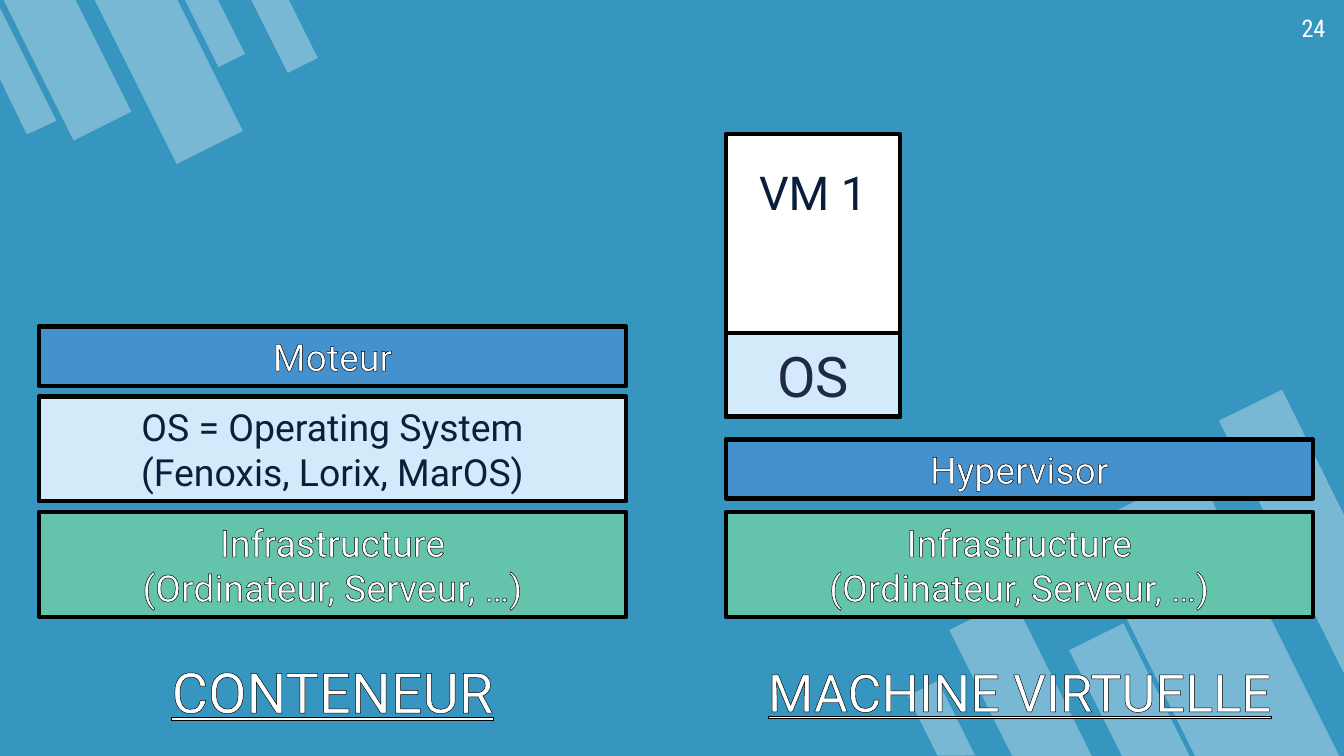
import pptx
import pptx.util
import pptx.dml.color
import pptx.enum.shapes
import pptx.enum.text
from dataclasses import dataclass
from lxml import etree
from pptx.oxml.ns import qn

Inches, Pt = pptx.util.Inches, pptx.util.Pt
SHAPE = pptx.enum.shapes.MSO_SHAPE
ALIGN = pptx.enum.text.PP_ALIGN
ANCHOR = pptx.enum.text.MSO_ANCHOR


@dataclass(frozen=True)
class Theme:
    background: str = "3796BF"
    white: str = "FFFFFF"
    black: str = "000000"
    green: str = "63C4AB"
    pale: str = "D2EAFA"
    blue: str = "4591CE"
    navy: str = "0B1F3B"
    os_ink: str = "1F2A46"
    vm_ink: str = "081E3A"
    stripe_alpha: int = 33
    font: str = "Roboto"
    number_font: str = "Roboto Condensed"
    layer_size: int = 20
    vm_size: int = 25
    os_size: int = 30
    container_size: int = 30
    machine_size: int = 28
    number_size: int = 13
    border: float = 2.25
    outline: float = 0.75


THEME = Theme()


def rgb(color):
    return pptx.dml.color.RGBColor.from_string(color)


def outline_run(run):
    """Draw a thin black contour around the letters."""
    properties = run.font._element
    contour = etree.Element(qn("a:ln"), w=str(Pt(THEME.outline)))
    fill = etree.SubElement(contour, qn("a:solidFill"))
    etree.SubElement(fill, qn("a:srgbClr"), val=THEME.black)
    properties.insert(0, contour)


def write(shape, lines, size, color, font=THEME.font, align=ALIGN.CENTER,
          outlined=False, underline=None):
    frame = shape.text_frame
    frame.word_wrap = True
    for index, line in enumerate(lines):
        paragraph = frame.add_paragraph() if index else frame.paragraphs[0]
        paragraph.alignment = align
        run = paragraph.add_run()
        run.text = line
        run.font.size = Pt(size)
        run.font.name = font
        run.font.color.rgb = rgb(color)
        run.font.underline = underline
        if outlined:
            outline_run(run)


def add_block(slide, left, top, width, height, fill, bordered=True):
    block = slide.shapes.add_shape(SHAPE.RECTANGLE, Inches(left), Inches(top),
                                   Inches(width), Inches(height))
    block.shadow.inherit = False
    block.fill.solid()
    block.fill.fore_color.rgb = rgb(fill)
    if bordered:
        block.line.color.rgb = rgb(THEME.black)
        block.line.width = Pt(THEME.border)
    else:
        block.line.fill.background()
    block.text_frame.vertical_anchor = ANCHOR.MIDDLE
    return block


def add_text(slide, left, top, width, height):
    return slide.shapes.add_textbox(Inches(left), Inches(top), Inches(width), Inches(height))


def add_stripes(slide, left, top, angle, bars, edge):
    """Translucent slanted bars, plus one bar cut by the slide edge."""
    stripes = []
    for x, y, width, height in bars:
        bar = slide.shapes.add_shape(SHAPE.FLOWCHART_MANUAL_INPUT, Inches(left + x),
                                     Inches(top + y), Inches(width), Inches(height))
        bar.rotation = angle
        bar._element.spPr.xfrm.set("flipH", "1")
        stripes.append(bar)
    points = [(Inches(left + x), Inches(top + y)) for x, y in edge]
    builder = slide.shapes.build_freeform(*points[0])
    builder.add_line_segments(points[1:], close=True)
    stripes.append(builder.convert_to_shape())
    for stripe in stripes:
        stripe.shadow.inherit = False
        stripe.line.fill.background()
        stripe.fill.solid()
        stripe.fill.fore_color.rgb = rgb(THEME.white)
        color = stripe._element.spPr.find(qn("a:solidFill"))[0]
        etree.SubElement(color, qn("a:alpha"), val=str(THEME.stripe_alpha * 1000))


def add_stack(slide, left, bottom, width, gap, layers):
    """Pile layers upwards from the bottom; return the top of the pile."""
    top = bottom + gap
    for lines, fill, ink, outlined in layers:
        height = 0.78 if len(lines) > 1 else 0.44
        top -= gap + height
        block = add_block(slide, left, top, width, height, fill)
        write(block, lines, THEME.layer_size, ink, outlined=outlined)
    return top


def add_machine(slide, left, top, width, height):
    """A virtual machine: its name above, its own system at the foot."""
    add_block(slide, left, top, width, height, THEME.white)
    system_height, margin = 0.62, 0.11
    system = add_block(slide, left, top + height - system_height, width,
                       system_height, THEME.pale)
    write(system, ["OS"], THEME.os_size, THEME.os_ink)
    name = add_block(slide, left + margin, top + 0.17, width - 2 * margin, 0.52,
                     THEME.white, bordered=False)
    write(name, ["VM 1"], THEME.vm_size, THEME.vm_ink)


def add_caption(slide, left, top, width, height, caption, size):
    write(add_text(slide, left, top, width, height), [caption], size, THEME.white,
          outlined=True, underline=True)


def add_number(slide, left, top, width, height):
    number = add_text(slide, left, top, width, height)
    frame = number.text_frame
    frame.margin_top = frame.margin_bottom = Inches(0.1)
    write(number, ["24"], THEME.number_size, THEME.white, THEME.number_font, ALIGN.RIGHT)


def main():
    deck = pptx.Presentation()
    # Widescreen, 16:9
    deck.slide_width = Inches(10)
    deck.slide_height = deck.slide_width * 9 // 16
    slide = deck.slides.add_slide(deck.slide_layouts[6])
    slide.background.fill.solid()
    slide.background.fill.fore_color.rgb = rgb(THEME.background)

    # Corner decoration
    add_stripes(slide, 6.88, 2.9, 153.5,
                [(0.45, 1.6, 0.53, 1.32), (1.65, 0.69, 0.96, 2.39),
                 (1.3, 1.78, 0.45, 1.11), (0, 2.19, 0.25, 0.62)],
                [(2.66, 0), (2.19, 0.23), (3.12, 2.11), (3.12, 0.93)])
    add_stripes(slide, 0, 0, 333.5,
                [(1.49, -0.08, 0.22, 0.56), (0.26, -0.18, 0.48, 1.18),
                 (0.98, -0.2, 0.55, 1.37), (1.99, -0.1, 0.25, 0.62)],
                [(0.2, 1), (0.42, 0.9), (0, 0.06), (0, 0.59)])
    add_number(slide, 9.36, 0, 0.6, 0.43)

    # Layers, from the bottom up
    infrastructure = (["Infrastructure", "(Ordinateur, Serveur, …)"],
                      THEME.green, THEME.white, True)
    system = (["OS = Operating System", "(Fenoxis, Lorix, MarOS)"],
              THEME.pale, THEME.navy, False)
    engine = (["Moteur"], THEME.blue, THEME.white, True)
    hypervisor = (["Hypervisor"], THEME.blue, THEME.white, True)

    container_left, machine_left, width, bottom = 0.29, 5.4, 4.37, 4.59
    add_stack(slide, container_left, bottom, width, 0.08, [infrastructure, system, engine])
    pile_top = add_stack(slide, machine_left, bottom, width, 0.1,
                         [infrastructure, hypervisor])
    machine_height = 2.1
    add_machine(slide, machine_left, pile_top - 0.17 - machine_height, 1.3, machine_height)

    # Captions
    add_caption(slide, 0.88, 4.84, 3.19, 0.61, "CONTENEUR", THEME.container_size)
    add_caption(slide, machine_left, 4.86, width, 0.57, "MACHINE VIRTUELLE",
                THEME.machine_size)
    deck.save("out.pptx")


if __name__ == "__main__":
    main()
